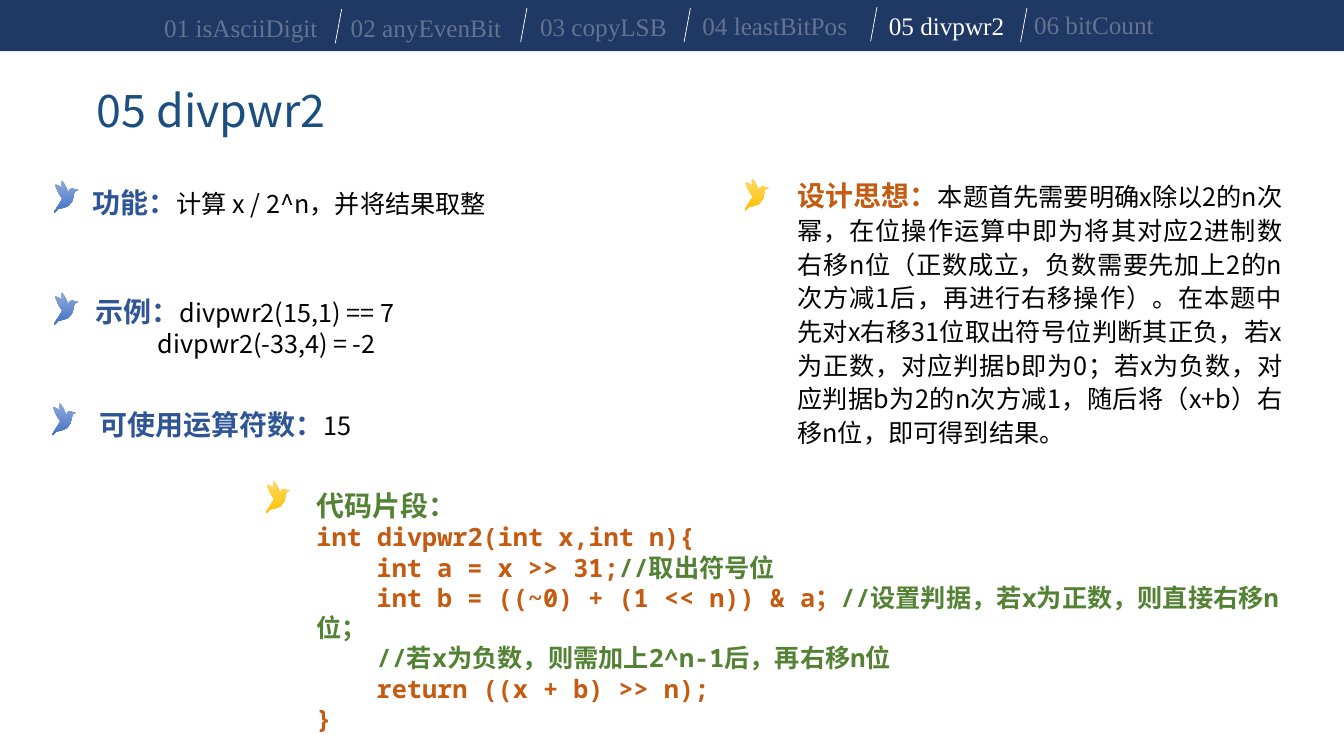
from dataclasses import dataclass

from lxml import etree
from pptx import Presentation
from pptx.dml.color import RGBColor
from pptx.enum.shapes import MSO_CONNECTOR, MSO_SHAPE
from pptx.enum.text import MSO_ANCHOR, MSO_AUTO_SIZE, PP_ALIGN
from pptx.oxml.ns import qn
from pptx.util import Cm, Pt

LEFT, JUST = PP_ALIGN.LEFT, PP_ALIGN.JUSTIFY
TOP, FIXED = MSO_ANCHOR.TOP, MSO_AUTO_SIZE.NONE
RECT, LINE = MSO_SHAPE.RECTANGLE, MSO_CONNECTOR.STRAIGHT


@dataclass(frozen=True)
class Theme:
    sans: str = "Noto Sans CJK SC"
    mono: str = "Noto Sans Mono"
    serif: str = "Times New Roman"
    navy: str = "203864"
    title: str = "1B4F80"
    blue: str = "2F5597"
    rust: str = "C55A11"
    green: str = "548235"
    black: str = "000000"
    white: str = "FFFFFF"
    sky: tuple = ("8FAADC", "4472C4")
    gold: tuple = ("FFD966", "FFC000")
    big: int = 32
    head: int = 20
    base: int = 18
    lead: float = 1.2
    dim: int = 30


# Bird outline in hundredths of an inch
BIRD = [(24, 9), (20, 9), (19, 8.3), (17, 8), (15.3, 9), (14, 12), (11, 5), (8, 0),
        (7.3, 0), (7, 1), (7.3, 4.5), (8, 8), (10.3, 10.5), (12, 14), (12, 15),
        (9.5, 10.5), (5.5, 6), (2, 4), (1.2, 4.3), (1, 5), (3.5, 11.5), (8, 18),
        (0, 31), (0, 32), (4.5, 28.5), (9, 27), (13.5, 25), (17.5, 19.5), (20, 11)]


def add_text(para, text, font, size, color, bold=False, alpha=None):
    run = para.add_run()
    run.text = text
    face = run.font
    face.name, face.size, face.bold = font, Pt(size), bold
    face.color.rgb = RGBColor.from_string(color)
    props = run._r.get_or_add_rPr()
    east = etree.SubElement(props, qn("a:ea"))
    east.set("typeface", Theme.serif if font == Theme.serif else Theme.sans)
    if alpha:
        tint = props.find(".//" + qn("a:srgbClr"))
        etree.SubElement(tint, qn("a:alpha")).set("val", str(alpha * 1000))


class Page:
    def __init__(self, deck, theme):
        self.theme = theme
        self.slide = deck.slides.add_slide(deck.slide_layouts[3])
        self.shapes = self.slide.shapes
        self.title, self.left, self.right = self.slide.placeholders

    def bar(self, x, y, w, h):
        bar = self.shapes.add_shape(RECT, Cm(x), Cm(y), Cm(w), Cm(h))
        bar.shadow.inherit = False
        bar.fill.solid()
        bar.fill.fore_color.rgb = RGBColor.from_string(self.theme.navy)
        bar.line.fill.background()

    def slash(self, x, y):
        line = self.shapes.add_connector(LINE, Cm(x), Cm(y), Cm(x - 0.16), Cm(y + 0.86))
        line.line.color.rgb = RGBColor.from_string(self.theme.white)
        line.line.width = Pt(0.5)
        etree.SubElement(line._element.spPr, qn("a:effectLst"))

    def bird(self, x, y, tones):
        pen = self.shapes.build_freeform(*BIRD[0], scale=Cm(0.0254))
        pen.add_line_segments(BIRD[1:], close=True)
        bird = pen.convert_to_shape(Cm(x), Cm(y))
        bird.shadow.inherit = False
        bird.line.fill.background()
        bird.fill.gradient()
        bird.fill.gradient_angle = 270
        for stop, tone in zip(bird.fill.gradient_stops, tones):
            stop.color.rgb = RGBColor.from_string(tone)

    def frame(self, box, holder=None, wrap=True, inset=0.13):
        """Place a text box or a placeholder and return its text frame."""
        x, y, w, h = (Cm(n) for n in box)
        if holder is None:
            holder = self.shapes.add_textbox(x, y, w, h)
        else:
            holder.left, holder.top, holder.width, holder.height = x, y, w, h
        frame = holder.text_frame
        frame.auto_size, frame.word_wrap = FIXED, wrap
        frame.vertical_anchor = TOP
        frame.margin_top = Cm(inset)
        return frame

    def tab(self, text, box, active):
        para = self.frame(box, wrap=False).paragraphs[0]
        add_text(para, text, self.theme.serif, self.theme.base, self.theme.white,
                 alpha=None if active else self.theme.dim)

    def block(self, box, rows, holder=None, wrap=True, inset=0.18, align=LEFT):
        """Fill a frame with rows of (first indent, list of text formats)."""
        frame = self.frame(box, holder, wrap, inset)
        for i, (indent, parts) in enumerate(rows):
            para = frame.add_paragraph() if i else frame.paragraphs[0]
            para.alignment = align
            para.space_before = Pt(0)
            size = max(part["size"] for part in parts)
            para.line_spacing = Pt(round(size * self.theme.lead, 1))
            props = para._p.get_or_add_pPr()
            props.set("marL", "0")
            props.set("indent", str(Cm(indent)))
            etree.SubElement(props, qn("a:buNone"))
            for part in parts:
                add_text(para, **part)


def main():
    theme = Theme()
    deck = Presentation()
    deck.slide_width, deck.slide_height = Cm(33.87), Cm(19.05)
    page = Page(deck, theme)

    def head(text, color):
        return dict(text=text, font=theme.sans, size=theme.head, color=color, bold=True)

    def plain(text):
        return dict(text=text, font=theme.sans, size=theme.base, color=theme.black)

    def code(text, color=theme.rust):
        return dict(text=text, font=theme.mono, size=theme.base, color=color, bold=True)

    def note(text):
        return code(text, theme.green)

    # Navigation bar
    page.bar(0, -0.08, 33.87, 1.37)
    tabs = [("01 isAsciiDigit", 3.89, 0.18, 4.42), ("02 anyEvenBit", 8.59, 0.18, 4.34),
            ("03 copyLSB", 13.36, 0.15, 3.73), ("04 leastBitPos", 17.45, 0.13, 4.19),
            ("05 divpwr2", 22.15, 0.13, 3.45), ("06 bitCount", 25.81, 0.1, 3.56)]
    for text, x, y, w in tabs:
        page.tab(text, (x, y, w, 1.02), text.startswith("05"))
    for x, y in [(8.61, 0.23), (13.28, 0.2), (17.4, 0.2), (22.1, 0.18), (25.88, 0.2)]:
        page.slash(x, y)

    # Title
    name = dict(text="05 divpwr2", font=theme.sans, size=theme.big, color=theme.title)
    page.block((2.18, 1.85, 6.55, 1.63), [(0, [name])], page.title, False, 0.23)

    # Facts on the left
    facts = [
        (2.08, 4.5, 2.64, [(0, [head("功能：", theme.blue),
                                plain("计算 x / 2^n，并将结果取整")])]),
        (2.16, 7.24, 2.64, [(0, [head("示例：", theme.blue), plain("divpwr2(15,1) == 7")]),
                            (1.57, [plain("divpwr2(-33,4) = -2")])]),
        (2.26, 10.08, 1.12, [(0, [head("可使用运算符数：", theme.blue), plain("15")])]),
    ]
    for x, y, h, rows in facts:
        page.block((x, y, 12.73, h), rows)

    # Design idea
    idea = ("本题首先需要明确x除以2的n次幂，在位操作运算中即为将其对应2进制数右移n位"
            "（正数成立，负数需要先加上2的n次方减1后，再进行右移操作）。"
            "在本题中先对x右移31位取出符号位判断其正负，若x为正数，对应判据b即为0；"
            "若x为负数，对应判据b为2的n次方减1，随后将（x+b）右移n位，即可得到结果。")
    page.block((19.84, 4.22, 12.73, 7.9),
               [(0, [head("设计思想：", theme.rust), plain(idea)])],
               page.right, inset=0.28, align=JUST)

    # Code
    step = 1.52
    page.block((7.72, 12.12, 24.82, 5.74), [
        (0, [head("代码片段：", theme.green)]),
        (0, [code("int divpwr2(int x,int n){")]),
        (step, [code("int a = x >> 31;"), note("//取出符号位")]),
        (step, [code("int b = ((~0) + (1 << n)) & a；"),
                note("//设置判据，若x为正数，则直接右移n位；")]),
        (step, [note("//若x为负数，则需加上2^n-1后，再右移n位")]),
        (step, [code("return ((x + b) >> n);")]),
        (0, [code("}")]),
    ], page.left)

    # Bird markers
    for x, y in [(1.37, 4.55), (1.37, 7.37), (1.32, 10.16)]:
        page.bird(x, y, theme.sky)
    for x, y in [(18.77, 4.5), (6.71, 12.12)]:
        page.bird(x, y, theme.gold)

    deck.save("out.pptx")


if __name__ == "__main__":
    main()
